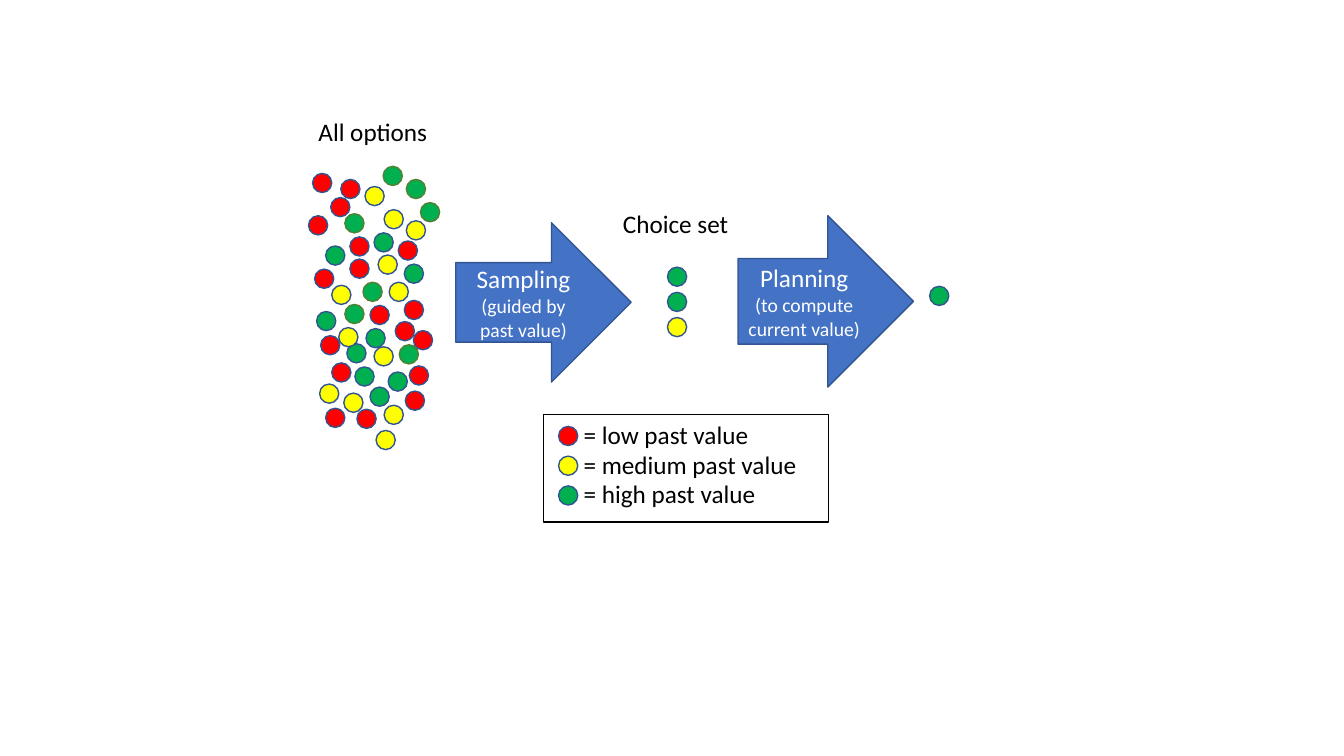
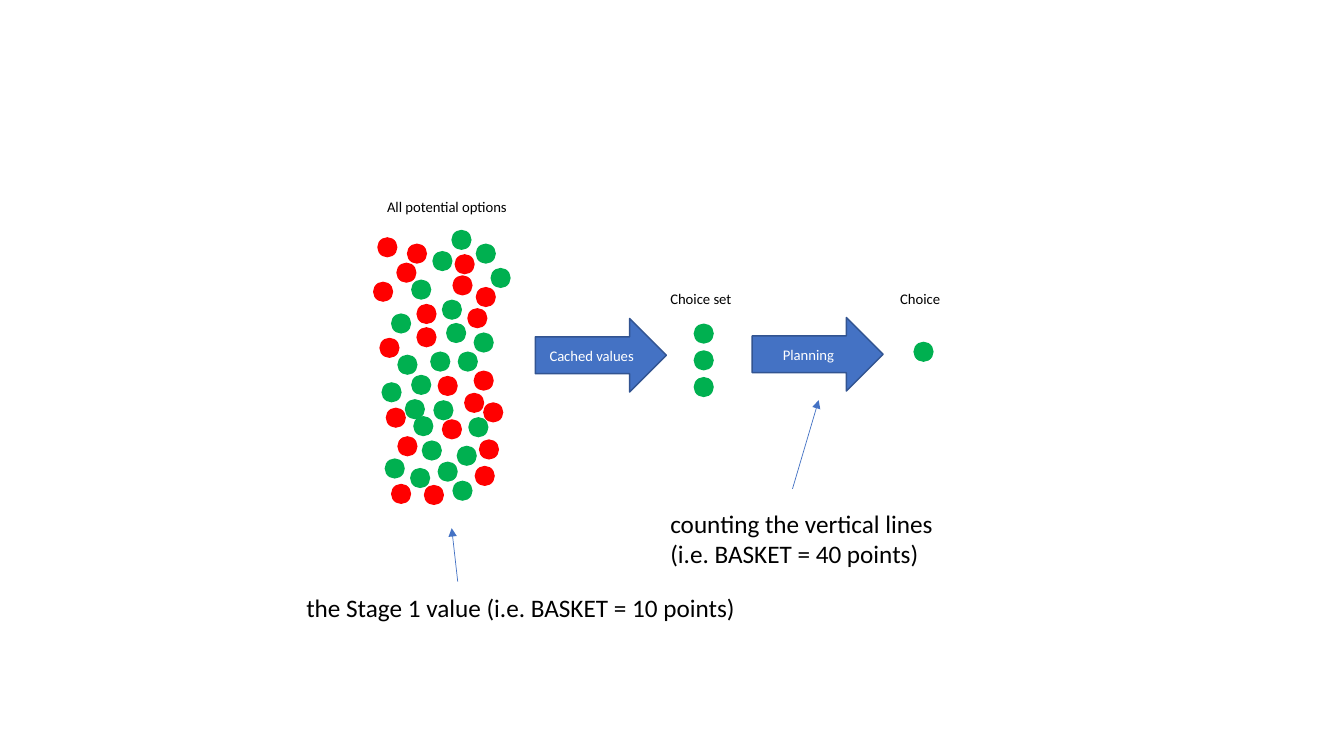
from lxml import etree
from pptx import Presentation
from pptx.dml.color import RGBColor
from pptx.enum.shapes import MSO_CONNECTOR, MSO_SHAPE
from pptx.enum.text import MSO_ANCHOR, MSO_AUTO_SIZE, PP_ALIGN
from pptx.oxml.ns import qn
from pptx.util import Inches, Pt

COLORS = {
    "low": "FF0000", "medium": "FFFF00", "high": "00B050",
    "rim": "325491", "green rim": "538035", "arrow": "4472C4",
    "ink": "000000", "paper": "FFFFFF",
}
RGB = {name: RGBColor.from_string(code) for name, code in COLORS.items()}
FONT = "Calibri"

prs = Presentation()
prs.slide_width, prs.slide_height = Inches(13.33), Inches(7.5)
unit = prs.slide_height // 750


def add_filled(slide, preset, box, fill, rim):
    shape = slide.shapes.add_shape(preset, *[round(n * unit) for n in box])
    shape.shadow.inherit = False
    if fill:
        shape.fill.solid()
        shape.fill.fore_color.rgb = RGB[fill]
    else:
        shape.fill.background()
    if rim:
        shape.line.color.rgb = RGB[rim]
        shape.line.width = Pt(1)
    else:
        shape.line.fill.background()
    return shape


def add_label(slide, text, box, size):
    label = slide.shapes.add_textbox(*[round(n * unit) for n in box])
    frame = label.text_frame
    frame.word_wrap = False
    frame.auto_size = MSO_AUTO_SIZE.SHAPE_TO_FIT_TEXT
    frame.text = text
    for line in frame.paragraphs:
        line.font.name, line.font.size = FONT, Pt(size)
        line.font.color.rgb = RGB["ink"]


sampling, cached = [prs.slides.add_slide(prs.slide_layouts[6]) for _ in range(2)]

# Each group: value on the first slide, its rim, value on the second slide, places
option_groups = [
    ("low", "rim", "low", [
        (395, 239), (312, 267), (367, 303), (347, 257), (329, 360), (318, 333),
        (401, 298), (410, 328), (392, 319), (406, 363), (354, 406), (323, 405),
        (402, 388), (347, 235), (306, 214), (328, 196), (338, 178), (310, 172)]),
    ("high", "rim", "high", [
        (401, 262), (371, 231), (323, 244), (344, 341), (314, 309), (363, 326),
        (352, 364), (385, 369), (367, 384)]),
    ("high", "green rim", "high", [
        (417, 201), (403, 178), (380, 165), (342, 212), (360, 280), (342, 302),
        (396, 342)]),
    ("medium", "rim", "high", [
        (362, 185), (386, 280), (375, 253), (329, 283), (336, 325), (317, 381),
        (341, 390), (381, 402)]),
    ("medium", "rim", "low", [(381, 208), (403, 219), (371, 344)]),
    ("medium", "rim", None, [(373, 427)]),
    (None, None, "low", [(383, 188)]),
]
for first_value, rim, second_value, places in option_groups:
    for x, y in places:
        if first_value:
            add_filled(sampling, MSO_SHAPE.OVAL, (x, y, 19, 19), first_value, rim)
        if second_value:
            spread = (370 + (x - 306) * 1.05, 228 + (y - 165) * 1.05, 20, 20)
            add_filled(cached, MSO_SHAPE.OVAL, spread, second_value, None)

for row, value in enumerate(["high", "high", "medium"]):
    add_filled(sampling, MSO_SHAPE.OVAL, (662, 265 + 25 * row, 19, 19), value, "rim")
    add_filled(cached, MSO_SHAPE.OVAL, (688, 321 + 26.5 * row, 20, 20), "high", None)
add_filled(sampling, MSO_SHAPE.OVAL, (922, 284, 19, 19), "high", "rim")
add_filled(cached, MSO_SHAPE.OVAL, (906, 339, 20, 20), "high", None)

stages = [
    (sampling, (452, 221, 174, 158), [("Sampling ", 18), ("(guided by past value)", 14)]),
    (sampling, (732, 214, 174, 170), [("Planning ", 18), ("(to compute current value)", 14)]),
    (cached, (531, 316, 130, 73), [("Cached values", 10.5)]),
    (cached, (746, 315, 130, 73), [("Planning", 10.5)]),
]
for slide, box, parts in stages:
    stage = add_filled(slide, MSO_SHAPE.RIGHT_ARROW, box, "arrow", "rim")
    stage.text_frame.word_wrap = True
    stage.text_frame.vertical_anchor = MSO_ANCHOR.MIDDLE
    line = stage.text_frame.paragraphs[0]
    line.alignment = PP_ALIGN.CENTER
    line.font.name = FONT
    line.font.color.rgb = RGB["paper"]
    for text, size in parts:
        run = line.add_run()
        run.text = text
        run.font.size = Pt(size)

labels = [
    (sampling, "All options", (306, 111, 129, 40), 18),
    (sampling, "Choice set", (608, 202, 126, 40), 18),
    (cached, "All potential options", (374, 191, 158, 29), 10.5),
    (cached, "Choice set", (655, 283, 90, 29), 10.5),
    (cached, "Choice", (883, 283, 66, 29), 10.5),
    (cached, "counting the vertical lines\n(i.e. BASKET = 40 points)", (655, 499, 284, 71), 18),
    (cached, "the Stage 1 value (i.e. BASKET = 10 points)", (294, 583, 450, 40), 18),
]
for slide, text, box, size in labels:
    add_label(slide, text, box, size)

for row, (value, width) in enumerate([("low", 186), ("medium", 234), ("high", 193)]):
    top = 411 + 29.5 * row
    add_filled(sampling, MSO_SHAPE.OVAL, (554, top + 12, 19, 19), value, "rim")
    add_label(sampling, f"= {value} past value", (569, top, width, 40), 18)
add_filled(sampling, MSO_SHAPE.RECTANGLE, (539, 411, 283, 107), None, "ink")

for ends in [(786, 485, 812, 397), (454, 577, 448, 524)]:
    pointer = cached.shapes.add_connector(MSO_CONNECTOR.STRAIGHT, *[n * unit for n in ends])
    pointer.line.color.rgb = RGB["arrow"]
    pointer.line.width = Pt(0.5)
    etree.SubElement(pointer.line._get_or_add_ln(), qn("a:tailEnd"), type="triangle")
    etree.SubElement(pointer._element.spPr, qn("a:effectLst"))

prs.save("out.pptx")
